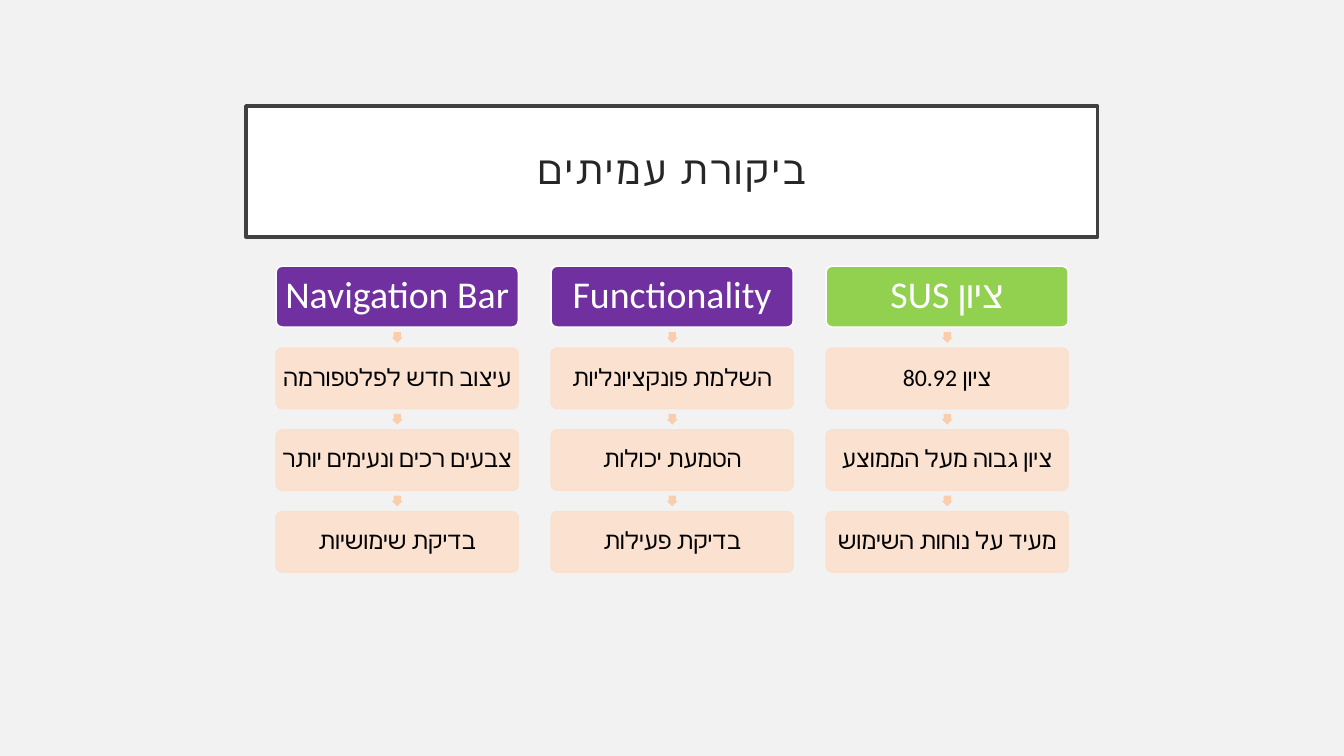
import pptx
import pptx.dml.color
import pptx.enum.shapes
import pptx.enum.text
import pptx.oxml
import pptx.oxml.ns
import pptx.util
from pptx.util import Cm

COLORS = {
    "background": "F2F2F2",
    "white": "FFFFFF",
    "frame": "404040",
    "title": "262626",
    "purple": "7030A0",
    "green": "92D050",
    "arrow": "FACEAC",
    "step": "FBE0CD",
    "black": "000000",
}
COLUMNS = [
    ("Navigation Bar", "purple",
     ["עיצוב חדש לפלטפורמה", "צבעים רכים ונעימים יותר", "בדיקת שימושיות"]),
    ("Functionality", "purple",
     ["השלמת פונקציונליות", "הטמעת יכולות", "בדיקת פעילות"]),
    ("ציון SUS", "green",
     ["ציון 80.92", "ציון גבוה מעל הממוצע", "מעיד על נוחות השימוש"]),
]
LEFT, TOP = 6.96, 6.71
BOX_WIDTH, BOX_HEIGHT = 6.1, 1.53
COLUMN_PITCH, ROW_PITCH = 6.93, 2.06
ARROW_SIZE = 0.27
SHAPES = pptx.enum.shapes.MSO_SHAPE


def rgb(name):
    return pptx.dml.color.RGBColor.from_string(COLORS[name])


def set_opacity(fill_format, percent):
    for color in fill_format._xPr.iter(pptx.oxml.ns.qn("a:srgbClr")):
        alpha = pptx.oxml.parse_xml(
            f'<a:alpha {pptx.oxml.ns.nsdecls("a")} val="{percent * 1000}"/>')
        color.append(alpha)


def add_box(slide, kind, left, top, width, height, fill, line=None, line_width=1, opacity=100):
    shape = slide.shapes.add_shape(kind, Cm(left), Cm(top), Cm(width), Cm(height))
    shape.shadow.inherit = False
    shape.fill.solid()
    shape.fill.fore_color.rgb = rgb(fill)
    if line:
        shape.line.color.rgb = rgb(line)
        shape.line.width = pptx.util.Pt(line_width)
    else:
        shape.line.fill.background()
    if opacity < 100:
        set_opacity(shape.fill, opacity)
        set_opacity(shape.line.fill, opacity)
    return shape


def write_text(shape, text, size, color, inset, spacing=0):
    frame = shape.text_frame
    frame.word_wrap = True
    frame.vertical_anchor = pptx.enum.text.MSO_ANCHOR.MIDDLE
    frame.margin_left = frame.margin_right = Cm(inset)
    frame.margin_top = frame.margin_bottom = Cm(inset)
    paragraph = frame.paragraphs[0]
    paragraph.alignment = pptx.enum.text.PP_ALIGN.CENTER
    paragraph.line_spacing = 0.9
    paragraph._p.get_or_add_pPr().set("rtl", "1")
    run = paragraph.add_run()
    run.text = text
    run.font.size = pptx.util.Pt(size)
    run.font.name = "Calibri"
    run.font.color.rgb = rgb(color)
    properties = run._r.get_or_add_rPr()
    properties.append(pptx.oxml.parse_xml(
        f'<a:cs {pptx.oxml.ns.nsdecls("a")} typeface="Calibri"/>'))
    if spacing:
        properties.set("spc", str(spacing * 100))


def add_title(slide):
    shape = add_box(slide, SHAPES.RECTANGLE, 6.2, 2.67, 21.46, 3.3,
                    "white", line="frame", line_width=2.5)
    write_text(shape, "ביקורת עמיתים", size=28, color="title", inset=0.5, spacing=2)


def add_rounded_box(slide, left, top, fill, line, opacity=100):
    shape = add_box(slide, SHAPES.ROUNDED_RECTANGLE, left, top, BOX_WIDTH, BOX_HEIGHT,
                    fill, line=line, opacity=opacity)
    shape.adjustments[0] = 0.1
    return shape


def add_arrow(slide, column_left, next_top):
    left = column_left + (BOX_WIDTH - ARROW_SIZE) / 2
    top = next_top - (ROW_PITCH - BOX_HEIGHT + ARROW_SIZE) / 2
    arrow = add_box(slide, SHAPES.RIGHT_ARROW, left, top, ARROW_SIZE, ARROW_SIZE, "arrow")
    arrow.rotation = 90
    arrow.adjustments[0] = 0.667


def add_column(slide, left, heading, fill, steps):
    header = add_rounded_box(slide, left, TOP, fill, "white")
    write_text(header, heading, size=27, color="white", inset=0.1)
    for row, step in enumerate(steps, start=1):
        top = TOP + row * ROW_PITCH
        add_arrow(slide, left, top)
        box = add_rounded_box(slide, left, top, "step", "step", opacity=90)
        write_text(box, step, size=17, color="black", inset=0.05)


def main():
    presentation = pptx.Presentation()
    presentation.slide_width = Cm(33.87)
    presentation.slide_height = Cm(19.05)
    slide = presentation.slides.add_slide(presentation.slide_layouts[6])
    slide.background.fill.solid()
    slide.background.fill.fore_color.rgb = rgb("background")
    add_title(slide)
    for index, (heading, fill, steps) in enumerate(COLUMNS):
        add_column(slide, LEFT + index * COLUMN_PITCH, heading, fill, steps)
    presentation.save("out.pptx")


if __name__ == "__main__":
    main()
